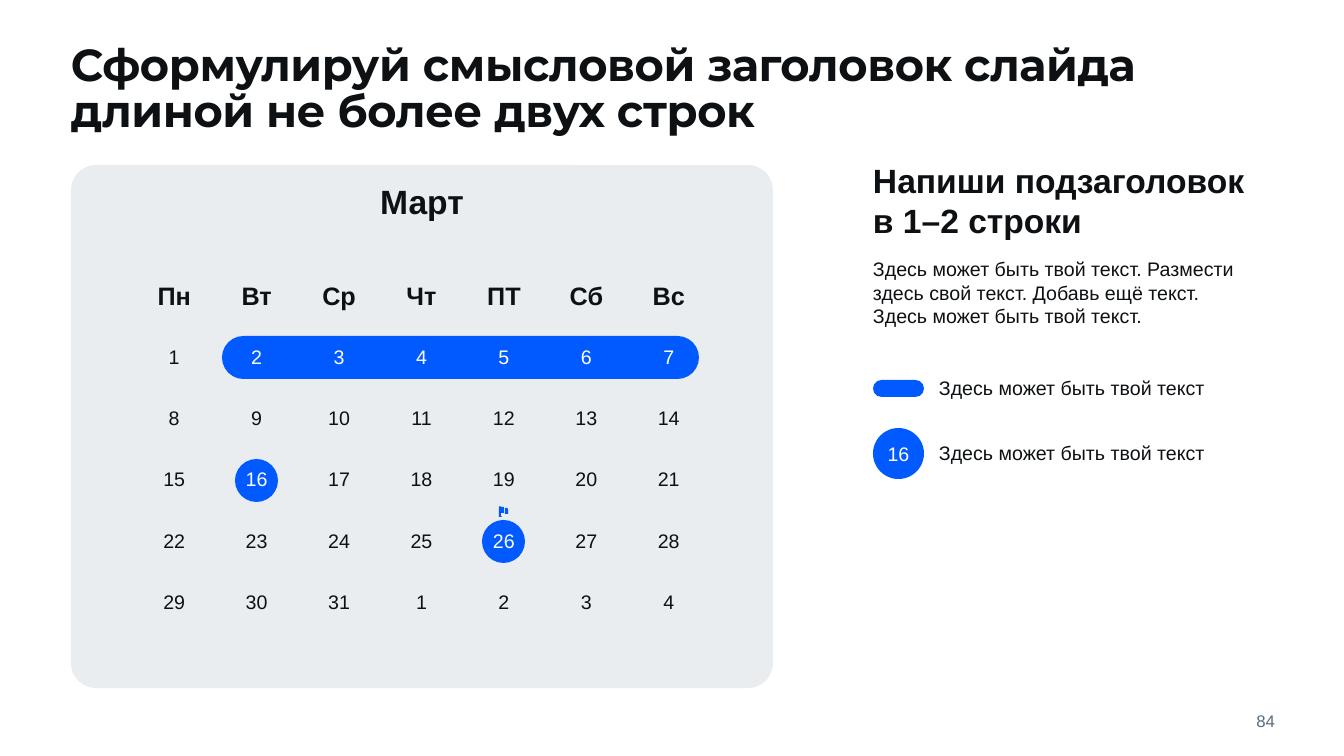
from pptx import Presentation
from pptx.dml.color import RGBColor
from pptx.enum.shapes import MSO_SHAPE
from pptx.enum.text import MSO_ANCHOR, MSO_AUTO_SIZE, PP_ALIGN
from pptx.oxml.ns import qn
from pptx.util import Pt

EMU_PER_PX = 914400 / 100.8
INK = RGBColor(0x0E, 0x11, 0x14)
BLUE = RGBColor(0x00, 0x5A, 0xFF)
CARD_GRAY = RGBColor(0xEA, 0xED, 0xEF)
NUMBER_GRAY = RGBColor(0x5A, 0x6C, 0x7D)
WHITE = RGBColor(0xFF, 0xFF, 0xFF)

NO_GRID_STYLE = "{2D5ABB26-0587-4C30-8999-92F81FD0307C}"
WEEKDAYS = ["Пн", "Вт", "Ср", "Чт", "ПТ", "Сб", "Вс"]
DAYS_IN_MONTH = 31
WEEKS = 5
HIGHLIGHTED = {2, 3, 4, 5, 6, 7, 16, 26}
MARKER = 43
FLAG_POLE = [(0, 1), (1, 0), (2, 1), (5, 1), (5, 7), (2, 7), (2, 10), (3, 11), (0, 11)]
FLAG_TAIL = [(6, 2), (8, 2), (9, 3), (9, 8), (6, 8)]


def px(length):
    """Turn pixels into EMU."""
    return round(length * EMU_PER_PX)


def style(paragraph, size, color=INK, bold=False, align=PP_ALIGN.LEFT, face="Arial"):
    """Set the font and alignment of a paragraph."""
    paragraph.alignment = align
    font = paragraph.font
    font.name, font.size, font.bold = face, Pt(size), bold
    font.color.rgb = color


def strip_margins(frame, anchor):
    """Make a wrapping text frame without insets."""
    frame.margin_left = frame.margin_right = frame.margin_top = frame.margin_bottom = 0
    frame.word_wrap = True
    frame.auto_size = MSO_AUTO_SIZE.NONE
    frame.vertical_anchor = anchor


def add_text(slide, box, lines, size, anchor=MSO_ANCHOR.TOP, **look):
    """Add a text box with one paragraph per line."""
    frame = slide.shapes.add_textbox(*map(px, box)).text_frame
    strip_margins(frame, anchor)
    for index, line in enumerate(lines):
        paragraph = frame.paragraphs[0] if index == 0 else frame.add_paragraph()
        paragraph.text = line
        style(paragraph, size, **look)


def paint(shape, color):
    """Give a shape a plain fill without line or shadow."""
    shape.shadow.inherit = False
    shape.fill.solid()
    shape.fill.fore_color.rgb = color
    shape.line.fill.background()


def add_rounded(slide, box, color, rounding=0.5):
    """Add a filled rounded rectangle."""
    rounded = slide.shapes.add_shape(MSO_SHAPE.ROUNDED_RECTANGLE, *map(px, box))
    rounded.adjustments[0] = rounding
    paint(rounded, color)
    return rounded


def add_title(slide, box, text):
    """Place and format the slide title."""
    title = slide.shapes.title
    title.left, title.top, title.width, title.height = map(px, box)
    strip_margins(title.text_frame, MSO_ANCHOR.TOP)
    paragraph = title.text_frame.paragraphs[0]
    paragraph.text = text
    paragraph.line_spacing = 0.85
    style(paragraph, 32, bold=True, face="Montserrat")
    paragraph.runs[0].font._element.set("spc", "-30")


def add_flag(slide, left, top):
    """Draw the small flag from its pole and tail outlines."""
    pole, tail = ([(left + x, top + y) for x, y in outline]
                  for outline in (FLAG_POLE, FLAG_TAIL))
    builder = slide.shapes.build_freeform(*pole[0], scale=EMU_PER_PX)
    builder.add_line_segments(pole[1:])
    builder.move_to(*tail[0])
    builder.add_line_segments(tail[1:])
    paint(builder.convert_to_shape(), BLUE)


def add_days(slide, box):
    """Add the month table with its weekday header."""
    days = slide.shapes.add_table(WEEKS + 1, len(WEEKDAYS), *map(px, box)).table
    days._tbl.tblPr.find(qn("a:tableStyleId")).text = NO_GRID_STYLE
    days.first_row = days.horz_banding = False
    for index, cell in enumerate(days.iter_cells()):
        day = index - len(WEEKDAYS) + 1
        header = day < 1
        cell.fill.background()
        cell.vertical_anchor = MSO_ANCHOR.MIDDLE
        paragraph = cell.text_frame.paragraphs[0]
        paragraph.text = WEEKDAYS[index] if header else str((day - 1) % DAYS_IN_MONTH + 1)
        style(paragraph, 18 if header else 14, WHITE if day in HIGHLIGHTED else INK,
              header, PP_ALIGN.CENTER)


def add_calendar(slide, box):
    """Add the calendar card with its marked days."""
    left, top, width, height = box
    add_rounded(slide, box, CARD_GRAY, 0.048)
    grid_left, grid_top, grid_width, grid_height = left + 62, top + 101, 577, 367
    column, row = grid_width / len(WEEKDAYS), grid_height / (WEEKS + 1)

    def marker_top(week):
        return round(grid_top + (week + 0.5) * row - MARKER / 2)

    for weekday, week in ((1, 3), (4, 4)):
        marker_left = round(grid_left + (weekday + 0.5) * column - MARKER / 2)
        add_rounded(slide, (marker_left, marker_top(week), MARKER, MARKER), BLUE)
    add_rounded(slide, (grid_left + 89, marker_top(1), 477, MARKER), BLUE)
    add_text(slide, (left, top + 16, width, 40), ["Март"], 24,
             bold=True, align=PP_ALIGN.CENTER)
    add_days(slide, (grid_left, grid_top, grid_width, grid_height))
    add_flag(slide, grid_left + 366, marker_top(4) - 14)


def add_sidebar(slide, box):
    """Add the subtitle, the body text and the legend."""
    left, top, width, height = box
    caption = "Здесь может быть твой текст"
    add_text(slide, (left, top, width, 82), ["Напиши подзаголовок\vв 1–2 строки"], 24, bold=True)
    add_text(slide, (left, top + 97, width, 72),
             ["Здесь может быть твой текст. Размести здесь свой текст. Добавь ещё текст.",
              caption + "."], 14)
    for sign_top, sign_height, label in ((220, 17, ""), (268, 51, "16")):
        sign = add_rounded(slide, (left, top + sign_top, 51, sign_height), BLUE)
        if label:
            strip_margins(sign.text_frame, MSO_ANCHOR.MIDDLE)
            paragraph = sign.text_frame.paragraphs[0]
            paragraph.text = label
            style(paragraph, 14, WHITE, align=PP_ALIGN.CENTER)
        add_text(slide, (left + 66, top + sign_top + sign_height // 2 - 12, 300, 24),
                 [caption], 14, anchor=MSO_ANCHOR.MIDDLE)


def main():
    """Build the calendar slide."""
    deck = Presentation()
    deck.slide_width, deck.slide_height = px(1344), px(756)
    slide = deck.slides.add_slide(deck.slide_layouts[5])
    add_title(slide, (71, 45, 1202, 76),
              "Сформулируй смысловой заголовок слайда длиной не более двух строк")
    add_calendar(slide, (71, 165, 702, 523))
    add_sidebar(slide, (873, 160, 400, 320))
    add_text(slide, (1175, 709, 100, 24), ["84"], 12, anchor=MSO_ANCHOR.MIDDLE,
             color=NUMBER_GRAY, align=PP_ALIGN.RIGHT)
    deck.save("out.pptx")


if __name__ == "__main__":
    main()
